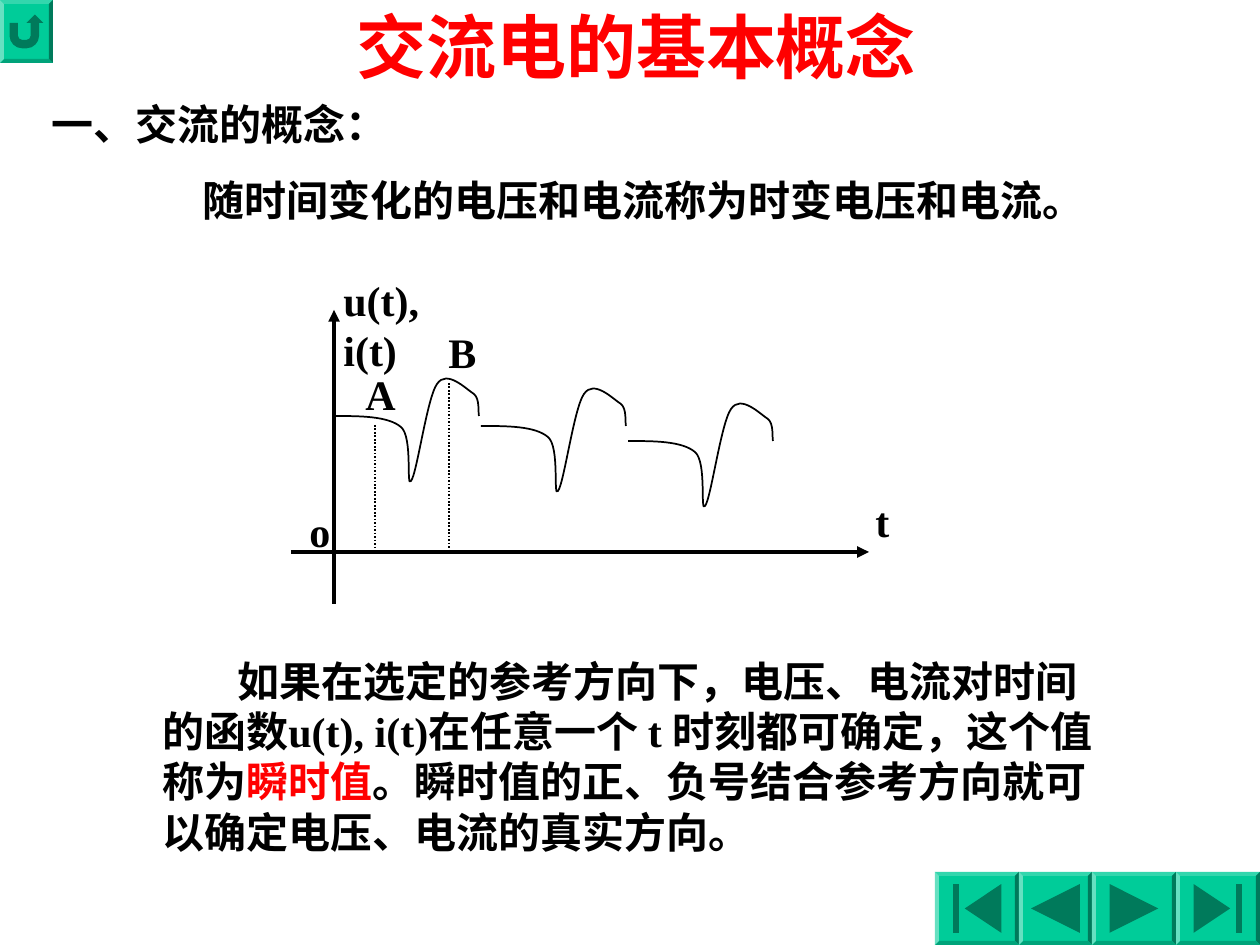
from dataclasses import dataclass

from lxml import etree
from pptx import Presentation
from pptx.dml.color import RGBColor
from pptx.enum.dml import MSO_LINE
from pptx.enum.shapes import MSO_CONNECTOR
from pptx.enum.text import MSO_AUTO_SIZE
from pptx.oxml.ns import qn
from pptx.util import Emu, Pt

STRAIGHT = MSO_CONNECTOR.STRAIGHT
DOTTED = MSO_LINE.ROUND_DOT
GROW = MSO_AUTO_SIZE.SHAPE_TO_FIT_TEXT
EMU_PER_PX = 914400 / 126
PATH_UNITS = 100


@dataclass(frozen=True)
class Theme:
    """Colours, fonts and sizes of the slide."""
    ink: RGBColor = RGBColor(0, 0, 0)
    accent: RGBColor = RGBColor(255, 0, 0)
    button: RGBColor = RGBColor(0, 204, 153)
    latin: str = "Times New Roman"
    asian: str = "Noto Sans CJK SC"
    title_size: int = 40
    body_size: int = 24
    axis_width: float = 2.25
    thin_width: float = 1


THEME = Theme()
WAVE = [
    (0, 47),
    (26, 47, 54, 47, 67, 58),
    (79, 68, 72, 120, 77, 112),
    (83, 105, 93, 29, 103, 15),
    (113, 0, 132, 20, 140, 25),
    (146, 30, 144, 43, 145, 47),
]
PREVIOUS = [[(-1, 0), (1, -1), (1, 1)]]
BEGINNING = [
    [(-0.5, 0), (1, -1), (1, 1)],
    [(-1, -1), (-0.75, -1), (-0.75, 1), (-1, 1)],
]
RETURN = [[
    (-1, -0.5), (-0.5, -0.5), (-0.5, 0.25),
    (-0.5, 0.39, -0.39, 0.5, -0.25, 0.5), (0, 0.5),
    (0.14, 0.5, 0.25, 0.39, 0.25, 0.25), (0.25, -0.5), (0, -0.5),
    (0.5, -1), (1, -0.5), (0.75, -0.5), (0.75, 0.25),
    (0.75, 0.66, 0.41, 1, 0, 1), (-0.25, 1),
    (-0.66, 1, -1, 0.66, -1, 0.25),
]]


def px(length):
    """Turn px into EMU."""
    return Emu(round(length * EMU_PER_PX))


def mirrored(icon):
    """Flip an icon of straight edges left to right."""
    return [[(-x, y) for x, y in contour] for contour in icon]


def add_outline(page, box, contours, closed=True):
    """Add one freeform of (fill mode, contour) pairs; six numbers make a curve."""
    left, top, width, height = box
    builder = page.shapes.build_freeform(scale=EMU_PER_PX)
    builder.add_line_segments([(width, 0), (width, height), (0, height)])
    shape = builder.convert_to_shape(px(left), px(top))
    shape.shadow.inherit = False
    path_list = shape._element.spPr.find(".//" + qn("a:pathLst"))
    for old_path in list(path_list):
        path_list.remove(old_path)
    for mode, contour in contours:
        outline = etree.SubElement(
            path_list, qn("a:path"), w=str(width * PATH_UNITS),
            h=str(height * PATH_UNITS), fill=mode)
        for index, numbers in enumerate(contour):
            tag = "a:cubicBezTo" if len(numbers) == 6 else "a:lnTo"
            step = etree.SubElement(outline, qn(tag if index else "a:moveTo"))
            for x, y in zip(numbers[::2], numbers[1::2]):
                etree.SubElement(step, qn("a:pt"), x=str(round(x * PATH_UNITS)),
                                 y=str(round(y * PATH_UNITS)))
        if closed:
            etree.SubElement(outline, qn("a:close"))
    return shape


def add_button(page, box, icon, bevel=4):
    """Draw a bevelled navigation button with a centred icon."""
    width, height = box[2:]
    outer = [(0, 0), (width, 0), (width, height), (0, height)]
    right, bottom = width - bevel, height - bevel
    inner = [(bevel, bevel), (right, bevel), (right, bottom), (bevel, bottom)]
    contours = [("norm", outer)]
    for side, mode in enumerate(("lightenLess", "darken", "darkenLess", "lighten")):
        following = (side + 1) % 4
        contours.append((mode, [outer[side], outer[following],
                                inner[following], inner[side]]))
    reach = (min(width, height) - 2 * bevel) * 3 / 8
    centre = (width / 2, height / 2)
    for contour in icon:
        contours.append(("darken", [
            tuple(centre[i % 2] + value * reach for i, value in enumerate(numbers))
            for numbers in contour]))
    shape = add_outline(page, box, contours)
    shape.fill.solid()
    shape.fill.fore_color.rgb = THEME.button
    shape.line.fill.background()


def add_text(page, box, spans, size=THEME.body_size, color=THEME.ink,
             latin=THEME.latin, wrap=False, indent=0):
    """Add a bold paragraph of (text, colour or None) spans."""
    frame = page.shapes.add_textbox(*map(px, box)).text_frame
    frame.word_wrap = wrap
    frame.auto_size = GROW
    para = frame.paragraphs[0]
    for text, span_color in spans:
        span = para.add_run()
        span.text = text
        if span_color is not None:
            span.font.color.rgb = span_color
    font = para.font
    font.name, font.size, font.bold = latin, Pt(size), True
    font.color.rgb = color
    properties = para._p.get_or_add_pPr()
    latin_font = properties.find(qn("a:defRPr")).find(qn("a:latin"))
    asian_font = etree.Element(qn("a:ea"), typeface=THEME.asian)
    latin_font.addnext(asian_font)
    if indent:
        properties.set("indent", str(px(indent)))


def add_line(page, start, end, width, arrow=False, dash=None):
    """Draw a straight line, with an arrowhead at its end if asked."""
    line = page.shapes.add_connector(STRAIGHT, *map(px, start + end))
    line.line.color.rgb = THEME.ink
    line.line.width = Pt(width)
    if dash is not None:
        line.line.dash_style = dash
    if arrow:
        etree.SubElement(line.line._get_or_add_ln(), qn("a:tailEnd"), type="triangle")
    etree.SubElement(line._element.spPr, qn("a:effectLst"))


def add_graph(page, box):
    """Draw the axes, the repeated wave, its markers and labels."""
    left, top, width, height = box
    axis_x, axis_y = left + 43, top + 242
    add_line(page, (axis_x, top + height), (axis_x, top), THEME.axis_width, arrow=True)
    add_line(page, (left, axis_y), (left + width, axis_y), THEME.axis_width, arrow=True)
    for period, drop in enumerate((0, 10, 25)):
        wave_box = (axis_x + 147 * period, top + 59 + drop, 147, 119)
        wave = add_outline(page, wave_box, [("none", WAVE)], closed=False)
        wave.fill.background()
        wave.line.color.rgb = THEME.ink
        wave.line.width = Pt(THEME.thin_width)
    for x, y in ((84, 115), (158, 73)):
        add_line(page, (left + x, top + y), (left + x, axis_y - 1),
                 THEME.thin_width, dash=DOTTED)
    labels = (("u(t),  i(t)", 40, -42, 175), ("t", 572, 179, 39), ("o", 6, 189, 45),
              ("A", 62, 52, 55), ("B", 145, 10, 53))
    for text, x, y, label_width in labels:
        add_text(page, (left + x, top + y, label_width, 63), [(text, None)])


def add_navigation(page, box):
    """Place the row of four navigation buttons."""
    left, top, width, height = box
    edges = (0, 84, 157, 241, width)
    icons = (BEGINNING, PREVIOUS, mirrored(PREVIOUS), mirrored(BEGINNING))
    for start, end, icon in zip(edges, edges[1:], icons):
        add_button(page, (left + start, top, end - start, height), icon)


def add_copy(page, box):
    """Place the title, the heading and the two statements."""
    left, top = box[:2]
    add_text(page, (left + 344, top - 3, 585, 97), [("交流电的基本概念", None)],
             size=THEME.title_size, color=THEME.accent, latin=THEME.asian)
    add_text(page, (left + 39, top + 92, 360, 63), [("一、交流的概念：", None)])
    add_text(page, (left + 190, top + 168, 907, 63),
             [("随时间变化的电压和电流称为时变电压和电流。", None)])
    add_text(page, (left + 150, top + 649, 974, 214), [
        ("如果在选定的参考方向下，电压、电流对时间的函数u(t), i(t)"
         "在任意一个 t 时刻都可确定，这个值称为", None),
        ("瞬时值", THEME.accent),
        ("。瞬时值的正、负号结合参考方向就可以确定电压、电流的真实方向。", None),
    ], wrap=True, indent=75)


def main():
    """Build and save the slide."""
    deck = Presentation()
    deck.slide_width, deck.slide_height = px(1260), px(945)
    page = deck.slides.add_slide(deck.slide_layouts[6])
    add_button(page, (0, 0, 53, 63), RETURN)
    add_navigation(page, (935, 872, 325, 73))
    add_copy(page, (0, 0, 1260, 945))
    add_graph(page, (291, 310, 578, 294))
    deck.save("out.pptx")


if __name__ == "__main__":
    main()
